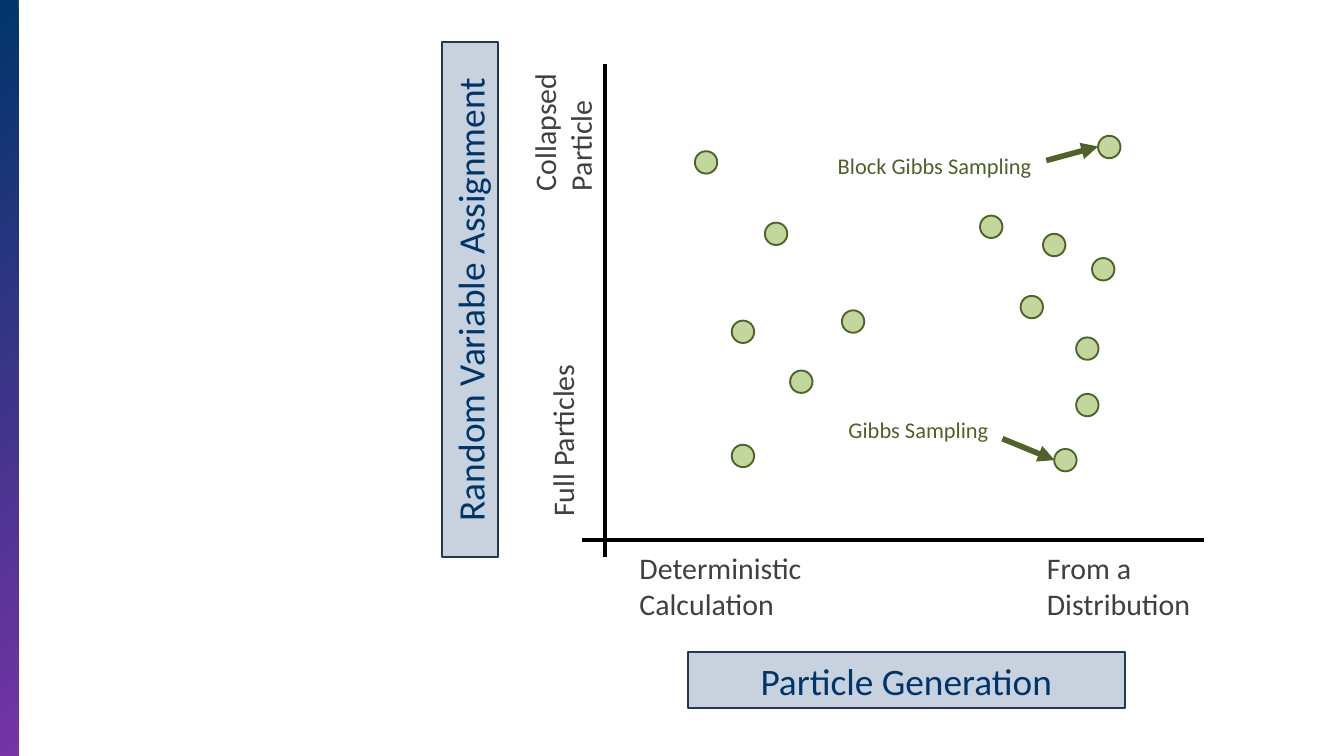
from pptx import Presentation
from pptx.dml.color import RGBColor
from pptx.enum.shapes import MSO_CONNECTOR, MSO_SHAPE
from pptx.enum.text import MSO_ANCHOR, PP_ALIGN
from pptx.oxml.ns import qn
from pptx.util import Pt
from lxml.etree import SubElement

COLORS = {
    "navy": "00356B", "purple": "7634A6", "border": "233953", "axis": "000000",
    "text": "404040", "dot": "C3D69B", "green": "4F6228",
}
FONT = "Calibri"
BOX_HEIGHT = 60
DOT_SIZE = 24

# Text, left, top, width, rotation
AXIS_TITLES = [
    ("Particle Generation", 737, 699, 468, 0),
    ("Random Variable Assignment", 227.5, 291, 551.5, 270),
]
AXIS_ENDS = [
    ("Deterministic Calculation", 678, 597, 204, 0),
    ("From a Distribution", 1114.5, 597, 181.5, 0),
    ("Full Particles", 510.5, 439, 183.5, 270),
    ("Collapsed Particle", 510.5, 90, 183.5, 270),
]
METHOD_LABELS = [
    ("Gibbs Sampling", 902, 430, 209.5, 0),
    ("Block Gibbs Sampling", 890.5, 147, 251.5, 0),
]

# Start x, start y, end x, end y
AXES = [(648, 69, 648, 597), (1290, 579, 624, 579)]
METHOD_ARROWS = [(1074, 470, 1130, 493), (1121, 172, 1176.5, 157)]

# Left, top of each dot
DISTRIBUTION_DOTS = [
    (1050, 231), (1153, 361.5), (1153, 422), (1093.5, 317),
    (1170, 276.5), (1176.5, 145.5), (1117.5, 250.5), (1129.5, 481),
]
DETERMINISTIC_DOTS = [
    (784, 476.5), (902, 332.5), (784, 343.5),
    (819.5, 238.5), (846.5, 397), (744.5, 162),
]


def color(name):
    return RGBColor.from_string(COLORS[name])


def add_shape(slide, kind, left, top, width, height):
    shape = slide.shapes.add_shape(kind, Pt(left), Pt(top), Pt(width), Pt(height))
    shape.shadow.inherit = False
    return shape


def outline(shape, name, width=2):
    shape.line.color.rgb = color(name)
    shape.line.width = Pt(width)


def write(shape, text, size, color_name, alignment):
    frame = shape.text_frame
    frame.text = text
    frame.word_wrap = True
    frame.vertical_anchor = MSO_ANCHOR.MIDDLE
    paragraph = frame.paragraphs[0]
    paragraph.alignment = alignment
    font = paragraph.runs[0].font
    font.name, font.size = FONT, Pt(size)
    font.color.rgb = color(color_name)


def add_label(slide, label, size, color_name):
    text, left, top, width, rotation = label
    box = slide.shapes.add_textbox(Pt(left), Pt(top), Pt(width), Pt(BOX_HEIGHT))
    box.rotation = rotation
    write(box, text, size, color_name, PP_ALIGN.LEFT)


def add_axis_title(slide, text, left, top, width, rotation):
    box = add_shape(slide, MSO_SHAPE.RECTANGLE, left, top, width, BOX_HEIGHT)
    box.rotation = rotation
    box.fill.solid()
    box.fill.fore_color.rgb = color("navy")
    fill_color = box.fill._xPr.find(qn("a:solidFill"))[0]
    SubElement(fill_color, qn("a:alpha"), val="22000")
    outline(box, "border")
    write(box, text, 40, "navy", PP_ALIGN.CENTER)


def add_line(slide, ends, color_name, width, arrow=False):
    line = slide.shapes.add_connector(MSO_CONNECTOR.STRAIGHT, *map(Pt, ends))
    outline(line, color_name, width)
    if arrow:
        SubElement(line.line._get_or_add_ln(), qn("a:tailEnd"), type="triangle")
    SubElement(line._element.spPr, qn("a:effectLst"))


def add_dot(slide, left, top):
    dot = add_shape(slide, MSO_SHAPE.OVAL, left, top, DOT_SIZE, DOT_SIZE)
    dot.fill.solid()
    dot.fill.fore_color.rgb = color("dot")
    outline(dot, "green")


def main():
    presentation = Presentation()
    presentation.slide_width, presentation.slide_height = Pt(1440), Pt(810)
    slide = presentation.slides.add_slide(presentation.slide_layouts[6])

    # Gradient band on the left edge
    band = add_shape(slide, MSO_SHAPE.RECTANGLE, 0, 0, 20, 810)
    band.fill.gradient()
    band.fill.gradient_angle = 315
    for stop, name, position in zip(band.fill.gradient_stops, ("navy", "purple"), (0, 1)):
        stop.color.rgb = color(name)
        stop.position = position
    band.line.fill.background()

    # Axes with their titles and end labels
    for ends in AXES:
        add_line(slide, ends, "axis", 4.5)
    for title in AXIS_TITLES:
        add_axis_title(slide, *title)
    for label in AXIS_ENDS:
        add_label(slide, label, 32, "text")

    # Methods as dots, two of them named
    for label in METHOD_LABELS:
        add_label(slide, label, 24, "green")
    for left, top in DISTRIBUTION_DOTS + DETERMINISTIC_DOTS:
        add_dot(slide, left, top)
    for ends in METHOD_ARROWS:
        add_line(slide, ends, "green", 6, arrow=True)

    presentation.save("out.pptx")


if __name__ == "__main__":
    main()
